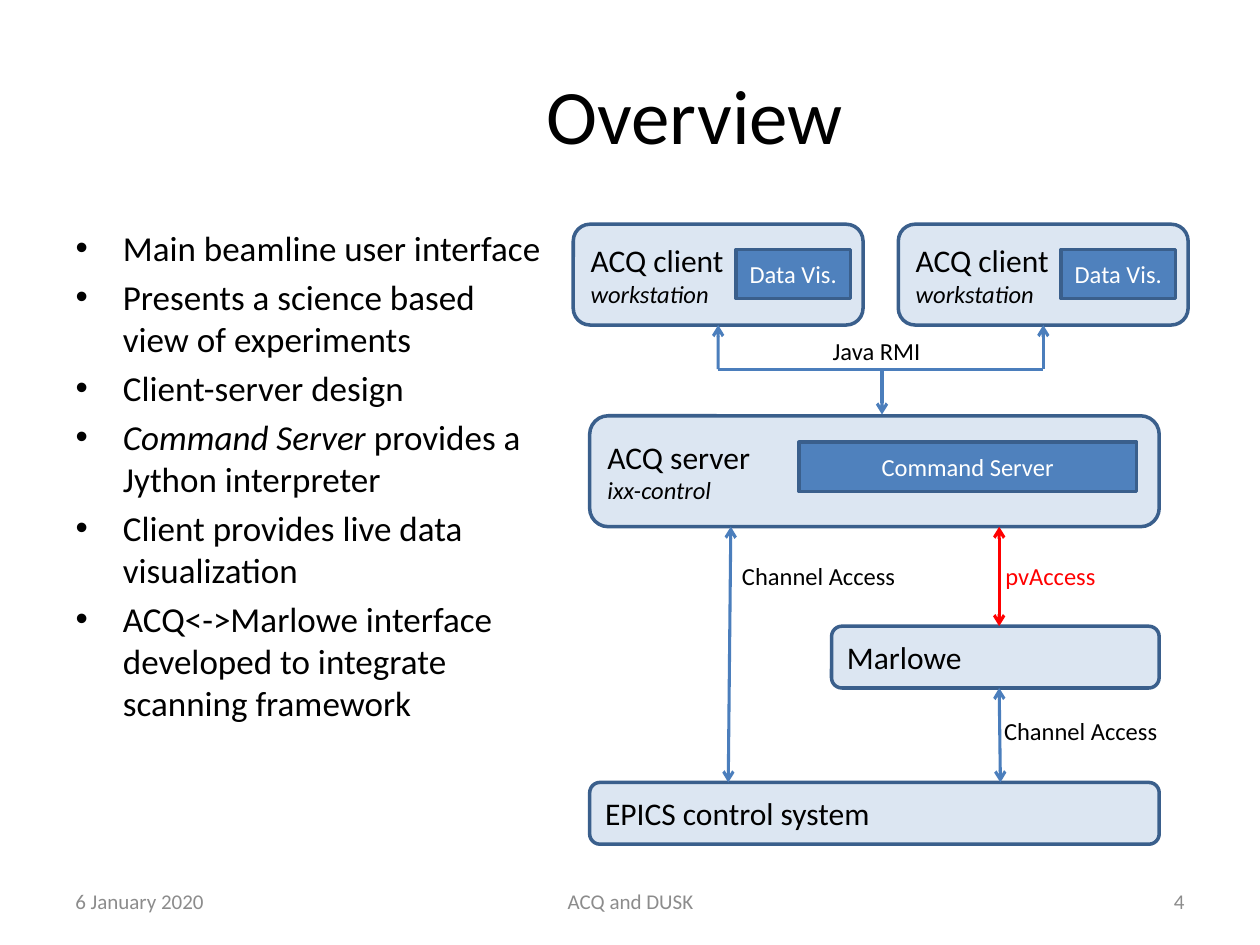
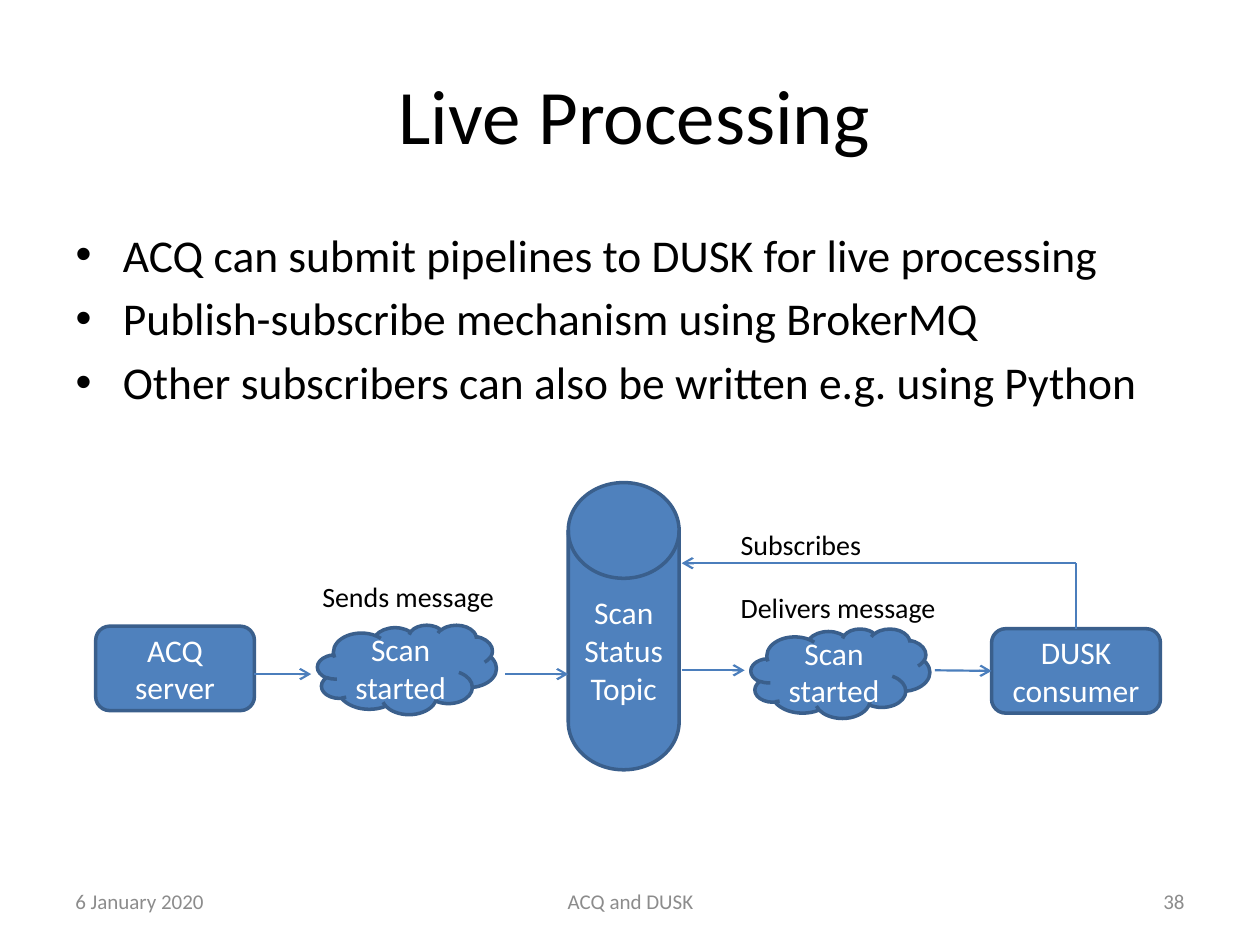
from lxml.etree import SubElement
from pptx import Presentation
from pptx.dml.color import RGBColor
from pptx.enum.shapes import MSO_CONNECTOR, MSO_SHAPE
from pptx.enum.text import MSO_ANCHOR, PP_ALIGN
from pptx.oxml.ns import qn
from pptx.util import Inches, Pt

FONT = "Calibri"
BLACK, WHITE, GREY, RED = "000000", "FFFFFF", "8C8C8C", "FF0000"
PALE, BLUE, OUTLINE, ARROW = "DCE6F2", "4F81BD", "3A5F8C", "4B7EBC"
LEFT, CENTER, RIGHT = PP_ALIGN.LEFT, PP_ALIGN.CENTER, PP_ALIGN.RIGHT
TOP_SIDE, LEFT_SIDE, BOTTOM_SIDE = 0, 1, 2
TITLE_BOX = (1.69, 0.28, 6.69, 1.25)
INSET = 0.1
FOOTERS = [  # text (None for the slide number), box, alignment
    ("6 January 2020", (0.5, 6.95, 2.33, 0.4), LEFT),
    ("ACQ and DUSK", (3.42, 6.95, 3.17, 0.4), CENTER),
    (None, (7.17, 6.95, 2.33, 0.4), RIGHT),
]

# A paragraph is a string or a list of (text, italic, size) runs.
OVERVIEW = {
    "title": "Overview", "number": 4, "title_shift": 0.48,
    "body_box": (0.5, 1.75, 3.95, 4.95), "body_size": 20,
    "bullets": [
        "Main beamline user interface",
        "Presents a science based view of experiments",
        "Client-server design",
        [("Command Server ", True, 20), ("provides a Jython interpreter", False, 20)],
        "Client provides live data visualization",
        "ACQ<->Marlowe interface developed to integrate scanning framework",
    ],
}
CLIENT = ["ACQ client", [("workstation", True, 14)]]
CLIENT_LEFTS = [4.55, 7.13]
CLIENT_TOP, CLIENT_WIDTH, CLIENT_HEIGHT = 1.78, 2.3, 0.8
SYSTEMS = [
    (["EPICS control system"], (4.68, 6.21, 4.52, 0.49)),
    (["ACQ server", [("ixx-control", True, 14)]], (4.68, 3.3, 4.52, 0.88)),
    (["Marlowe"], (6.6, 4.97, 2.6, 0.49)),
]
COMMAND_SERVER = ("Command Server", (6.34, 3.51, 2.68, 0.39))
RMI_Y = 2.93
OVERVIEW_LINKS = [  # start, end, arrowheads, colour
    ((7, RMI_Y), (7, 3.29), "tail", ARROW),
    ((5.8, 4.18), (5.78, 6.21), "both", ARROW),
    ((7.93, 4.18), (7.93, 4.97), "both", RED),
    ((7.93, 5.46), (7.94, 6.21), "both", ARROW),
]
OVERVIEW_LABELS = [
    ("Java RMI", (6.51, 2.62, 0.96, 0.34), BLACK),
    ("Channel Access", (5.79, 4.4, 1.78, 0.34), BLACK),
    ("pvAccess", (7.88, 4.4, 1.78, 0.34), RED),
    ("Channel Access", (7.87, 5.63, 1.78, 0.34), BLACK),
]

PROCESSING = {
    "title": "Live Processing", "number": 38, "title_shift": 0,
    "body_box": (0.5, 1.75, 9, 2.55), "body_size": 26,
    "bullets": [
        "ACQ can submit pipelines to DUSK for live processing",
        "Publish-subscribe mechanism using BrokerMQ",
        "Other subscribers can also be written e.g. using Python",
    ],
}
STAGES = [
    ("Scan Status Topic", MSO_SHAPE.FLOWCHART_MAGNETIC_DISK, (4.51, 3.83, 0.88, 2.28)),
    ("Scan started", MSO_SHAPE.CLOUD, (2.52, 4.96, 1.42, 0.71)),
    ("Scan started", MSO_SHAPE.CLOUD, (5.96, 4.99, 1.42, 0.71)),
    ("ACQ server", MSO_SHAPE.ROUNDED_RECTANGLE, (0.76, 4.97, 1.26, 0.67)),
]
CONSUMER = ("DUSK consumer", MSO_SHAPE.ROUNDED_RECTANGLE, (7.87, 4.99, 1.34, 0.67))
SUBSCRIBE_CORNER = (8.54, 4.47)
MESSAGE_LINKS = [
    ((2.02, 5.35), (2.47, 5.35), "tail"),
    ((4.01, 5.35), (4.51, 5.35), "tail"),
    ((5.41, 5.32), (5.91, 5.32), "tail"),
    ((5.41, 4.47), SUBSCRIBE_CORNER, "head"),
]
MESSAGE_LABELS = [
    ("Sends message", (2.46, 4.55, 1.6, 0.37)),
    ("Delivers message", (5.78, 4.64, 1.99, 0.37)),
    ("Subscribes", (5.78, 4.14, 1.42, 0.37)),
]


def rgb(color):
    return RGBColor.from_string(color)


def inches(values):
    return [Inches(value) for value in values]


def write(frame, paragraphs, size=18, color=BLACK, align=LEFT, anchor=MSO_ANCHOR.MIDDLE):
    if isinstance(paragraphs, str):
        paragraphs = [paragraphs]
    frame.word_wrap = True
    frame.vertical_anchor = anchor
    for index, content in enumerate(paragraphs):
        paragraph = frame.add_paragraph() if index else frame.paragraphs[0]
        paragraph.alignment = align
        runs = [(content, False, size)] if isinstance(content, str) else content
        for text, italic, run_size in runs:
            run = paragraph.add_run()
            run.text = text
            run.font.name, run.font.size = FONT, Pt(run_size)
            run.font.italic = italic
            run.font.color.rgb = rgb(color)


def place(shape, box):
    shape.left, shape.top, shape.width, shape.height = inches(box)


def add_label(slide, text, box, **text_format):
    write(slide.shapes.add_textbox(*inches(box)).text_frame, text, **text_format)


def add_box(slide, paragraphs, box, kind=MSO_SHAPE.ROUNDED_RECTANGLE, fill=PALE, **text_format):
    shape = slide.shapes.add_shape(kind, *inches(box))
    shape.shadow.inherit = False
    shape.fill.solid()
    shape.fill.fore_color.rgb = rgb(fill)
    shape.line.color.rgb = rgb(OUTLINE)
    shape.line.width = Pt(2)
    write(shape.text_frame, paragraphs, **text_format)
    return shape


def add_blue_box(slide, text, box, kind=MSO_SHAPE.RECTANGLE, size=14):
    return add_box(slide, text, box, kind, BLUE, size=size, color=WHITE, align=CENTER)


def add_link(slide, start, end, heads="", color=ARROW, width=1.75):
    """Draw a straight line; heads is "head", "tail", "both" or empty."""
    link = slide.shapes.add_connector(MSO_CONNECTOR.STRAIGHT, *inches(start + end))
    link.line.color.rgb = rgb(color)
    link.line.width = Pt(width)
    for side in ("head", "tail"):
        if heads in (side, "both"):
            SubElement(link.line._get_or_add_ln(), qn(f"a:{side}End"), type="arrow")
    SubElement(link._element.spPr, qn("a:effectLst"))
    return link


def add_slide(deck, content):
    slide = deck.slides.add_slide(deck.slide_layouts[1])
    title, body = slide.placeholders
    place(title, TITLE_BOX)
    write(title.text_frame, content["title"], size=44, align=CENTER)
    title.text_frame.margin_left = Inches(INSET + 2 * content["title_shift"])
    place(body, content["body_box"])
    write(body.text_frame, content["bullets"], size=content["body_size"], anchor=MSO_ANCHOR.TOP)
    for text, box, align in FOOTERS:
        add_label(slide, text or str(content["number"]), box, size=12, color=GREY, align=align)
    return slide


def build_overview(deck):
    slide = add_slide(deck, OVERVIEW)
    for paragraphs, box in SYSTEMS:
        add_box(slide, paragraphs, box)
    add_blue_box(slide, *COMMAND_SERVER)
    for start, end, heads, color in OVERVIEW_LINKS:
        add_link(slide, start, end, heads, color)
    for text, box, color in OVERVIEW_LABELS:
        add_label(slide, text, box, size=14, color=color, anchor=MSO_ANCHOR.TOP)

    centers = [left + CLIENT_WIDTH / 2 for left in CLIENT_LEFTS]
    for left, center in zip(CLIENT_LEFTS, centers):
        client = add_box(slide, CLIENT, (left, CLIENT_TOP, CLIENT_WIDTH, CLIENT_HEIGHT))
        add_blue_box(slide, "Data Vis.", (left + 1.29, CLIENT_TOP + 0.2, 0.91, 0.39))
        link = add_link(slide, (center, CLIENT_TOP + CLIENT_HEIGHT), (center, RMI_Y), "head")
        link.begin_connect(client, BOTTOM_SIDE)
    add_link(slide, (centers[0], RMI_Y), (centers[1], RMI_Y))


def build_processing(deck):
    slide = add_slide(deck, PROCESSING)
    for text, kind, box in STAGES:
        add_blue_box(slide, text, box, kind, size=18)
    text, kind, box = CONSUMER
    consumer = add_blue_box(slide, text, box, kind, size=18)
    for start, end, heads in MESSAGE_LINKS:
        add_link(slide, start, end, heads, width=1.25)
    left, top, width, height = box
    delivery = add_link(slide, (7.42, 5.32), (left, top + height / 2), "tail", width=1.25)
    delivery.end_connect(consumer, LEFT_SIDE)
    subscription = add_link(slide, SUBSCRIBE_CORNER, (left + width / 2, top), width=1.25)
    subscription.end_connect(consumer, TOP_SIDE)
    for text, box in MESSAGE_LABELS:
        add_label(slide, text, box, size=16, anchor=MSO_ANCHOR.TOP)


def main():
    deck = Presentation()
    deck.slide_width, deck.slide_height = inches((10, 7.5))
    build_overview(deck)
    build_processing(deck)
    deck.save("out.pptx")


if __name__ == "__main__":
    main()
